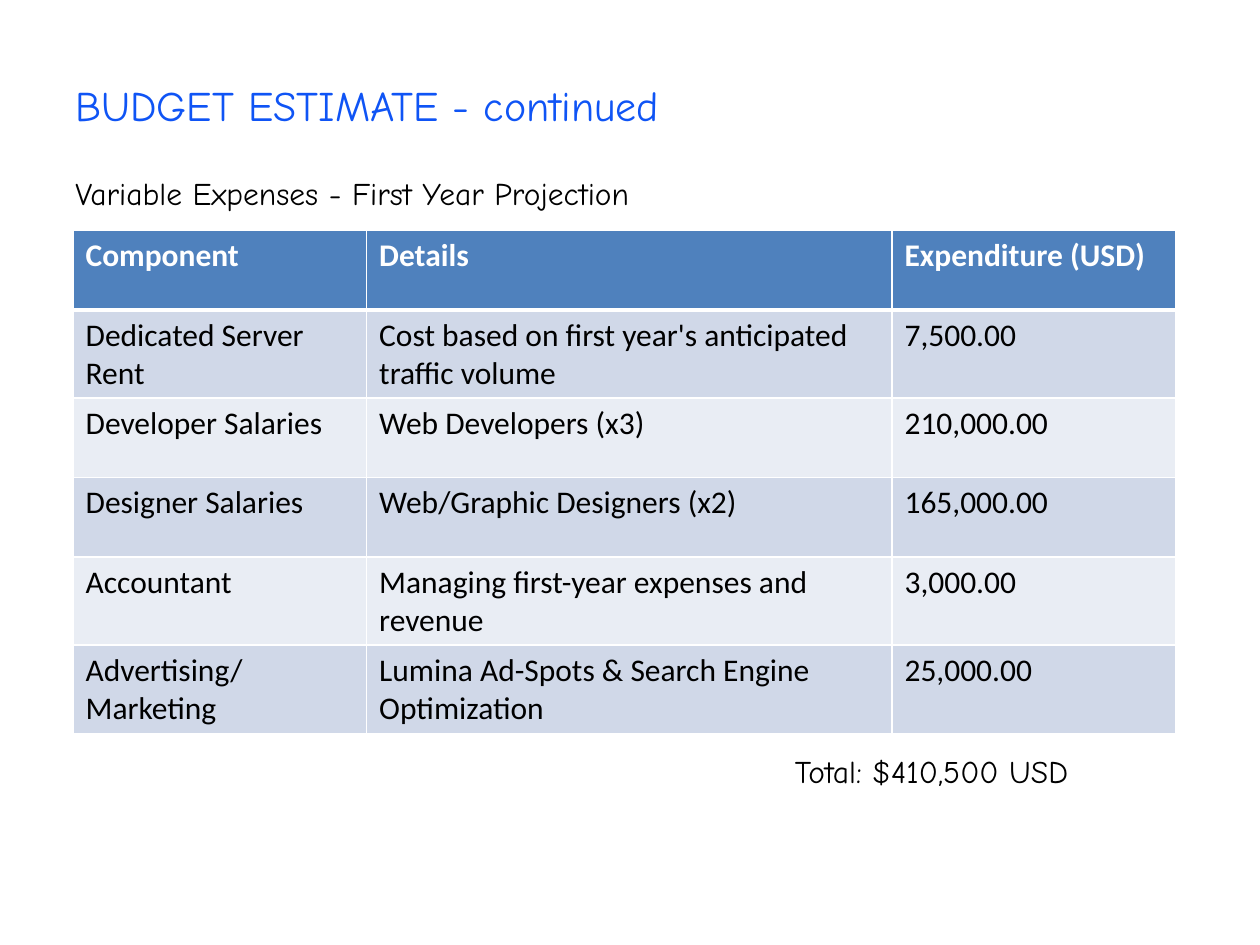
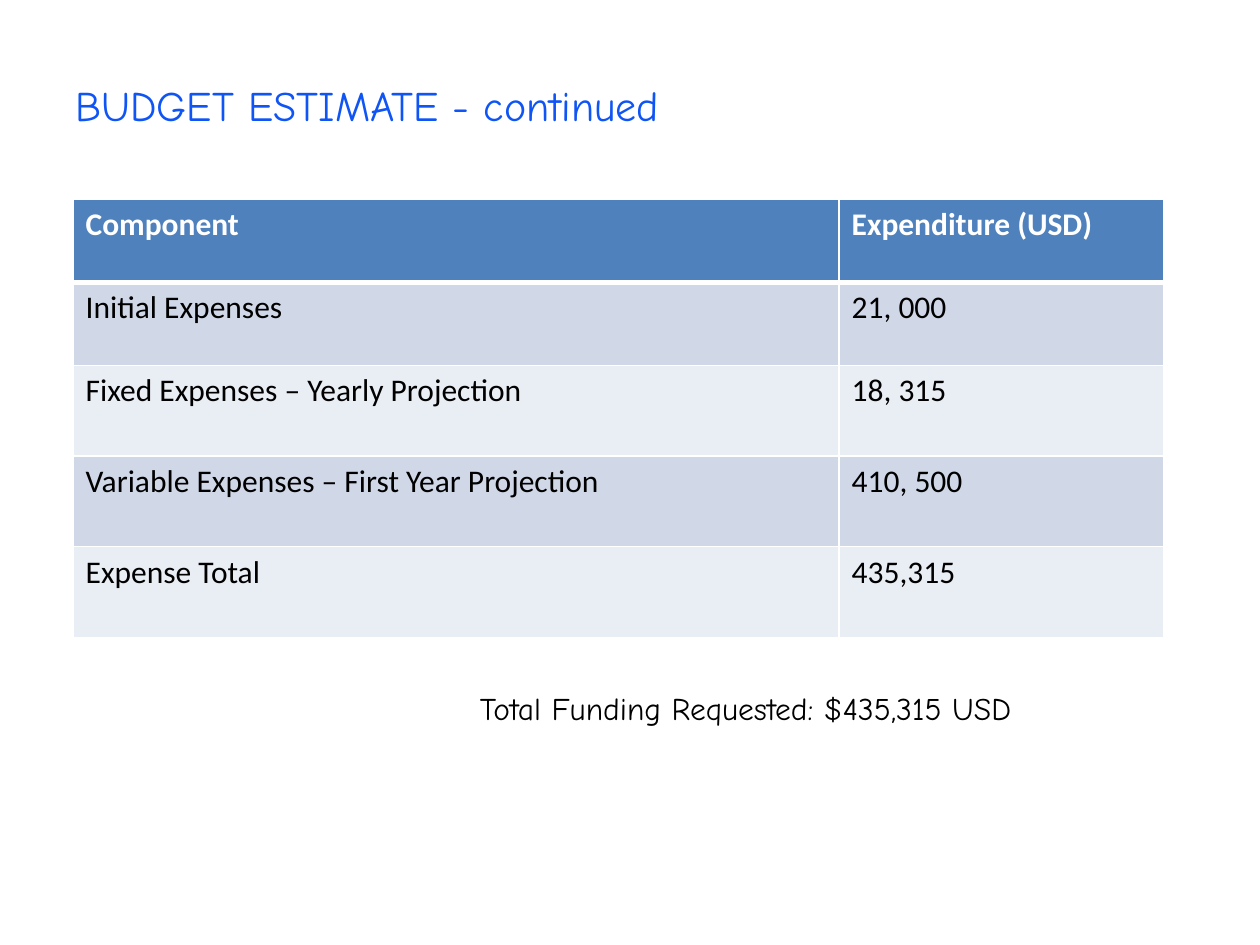
from lxml.etree import SubElement
from pptx import Presentation
from pptx.dml.color import RGBColor
from pptx.oxml.ns import qn
from pptx.util import Inches, Pt

BLUE = RGBColor(0x0F, 0x54, 0xF5)
BLACK = RGBColor(0, 0, 0)
WHITE = RGBColor(0xFF, 0xFF, 0xFF)
HEADER_FILL = RGBColor(0x4F, 0x81, 0xBD)
BAND_FILLS = (RGBColor(0xD0, 0xD8, 0xE8), RGBColor(0xE9, 0xED, 0xF4))
TEXT_FONT, TABLE_FONT = "Comic Neue", "Calibri"
TITLE_SIZE, BODY_SIZE = 24, 18
THIN, THICK = 1, 3

WIDTH, HEIGHT = 10, 7.5
MARGIN, TABLE_LEFT = 0.5, 0.58
TITLE = "BUDGET ESTIMATE - continued"
TITLE_PLACE = (MARGIN, 0.58, 6.01, 0.5)
LINE_HEIGHT = 0.4

# Captions are (text, left, top, width); lengths are inches.
SLIDES = [
    {
        "captions": [
            ("Variable Expenses - First Year Projection", MARGIN, 1.33, 5.67),
            ("Total: $410,500 USD", 6.21, 5.92, 3.21),
        ],
        "table_top": 1.83,
        "columns": [2.33, 4.17, 2.25],
        "row_heights": [0.63] * 6,
        "rows": [
            ("Component", "Details", "Expenditure (USD)"),
            ("Dedicated Server Rent",
             "Cost based on first year's anticipated traffic volume", "7,500.00"),
            ("Developer Salaries", "Web Developers (x3)", "210,000.00"),
            ("Designer Salaries", "Web/Graphic Designers (x2)", "165,000.00"),
            ("Accountant", "Managing first-year expenses and revenue", "3,000.00"),
            ("Advertising/Marketing",
             "Lumina Ad-Spots & Search Engine Optimization", "25,000.00"),
        ],
    },
    {
        "captions": [
            ("Total Funding Requested: $435,315 USD", 3.71, 5.42, 4.71),
        ],
        "table_top": 1.58,
        "columns": [6.08, 2.58],
        "row_heights": [0.66] * 2 + [0.72] * 3,
        "rows": [
            ("Component", "Expenditure (USD)"),
            ("Initial Expenses", "21, 000"),
            ("Fixed Expenses – Yearly Projection", "18, 315"),
            ("Variable Expenses – First Year Projection", "410, 500"),
            ("Expense Total", "435,315"),
        ],
    },
]


def style_text(frame, font_name, size, color, bold=False):
    for para in frame.paragraphs:
        for span in para.runs:
            span.font.name = font_name
            span.font.size = Pt(size)
            span.font.bold = bold
            span.font.color.rgb = color


def add_text(page, text, place, size, color):
    box = page.shapes.add_textbox(*map(Inches, place))
    box.text_frame.word_wrap = True
    box.text_frame.text = text
    style_text(box.text_frame, TEXT_FONT, size, color)


def add_borders(cell, top, bottom):
    """Draw white cell edges; call before filling, as edges precede the fill."""
    properties = cell._tc.get_or_add_tcPr()
    for tag, points in (("lnL", THIN), ("lnR", THIN), ("lnT", top), ("lnB", bottom)):
        line = SubElement(properties, qn(f"a:{tag}"), w=str(Pt(points)))
        fill = SubElement(line, qn("a:solidFill"))
        SubElement(fill, qn("a:srgbClr"), val=str(WHITE))


def add_budget_table(page, content):
    rows, columns = content["rows"], content["columns"]
    heights = content["row_heights"]
    table = page.shapes.add_table(
        len(rows), len(columns), Inches(TABLE_LEFT), Inches(content["table_top"]),
        Inches(sum(columns)), Inches(sum(heights))).table
    for column, width in zip(table.columns, columns):
        column.width = Inches(width)
    for row, height in zip(table.rows, heights):
        row.height = Inches(height)

    for row_index, values in enumerate(rows):
        is_header = row_index == 0
        for column_index, value in enumerate(values):
            cell = table.cell(row_index, column_index)
            add_borders(cell, THICK if row_index == 1 else THIN,
                        THICK if is_header else THIN)
            cell.fill.solid()
            cell.fill.fore_color.rgb = (
                HEADER_FILL if is_header else BAND_FILLS[(row_index - 1) % 2])
            cell.text_frame.text = value
            style_text(cell.text_frame, TABLE_FONT, BODY_SIZE,
                       WHITE if is_header else BLACK, is_header)


def main():
    deck = Presentation()
    deck.slide_width, deck.slide_height = Inches(WIDTH), Inches(HEIGHT)
    for content in SLIDES:
        page = deck.slides.add_slide(deck.slide_layouts[6])
        add_text(page, TITLE, TITLE_PLACE, TITLE_SIZE, BLUE)
        add_budget_table(page, content)
        for text, left, top, width in content["captions"]:
            add_text(page, text, (left, top, width, LINE_HEIGHT), BODY_SIZE, BLACK)
    deck.save("out.pptx")


if __name__ == "__main__":
    main()
